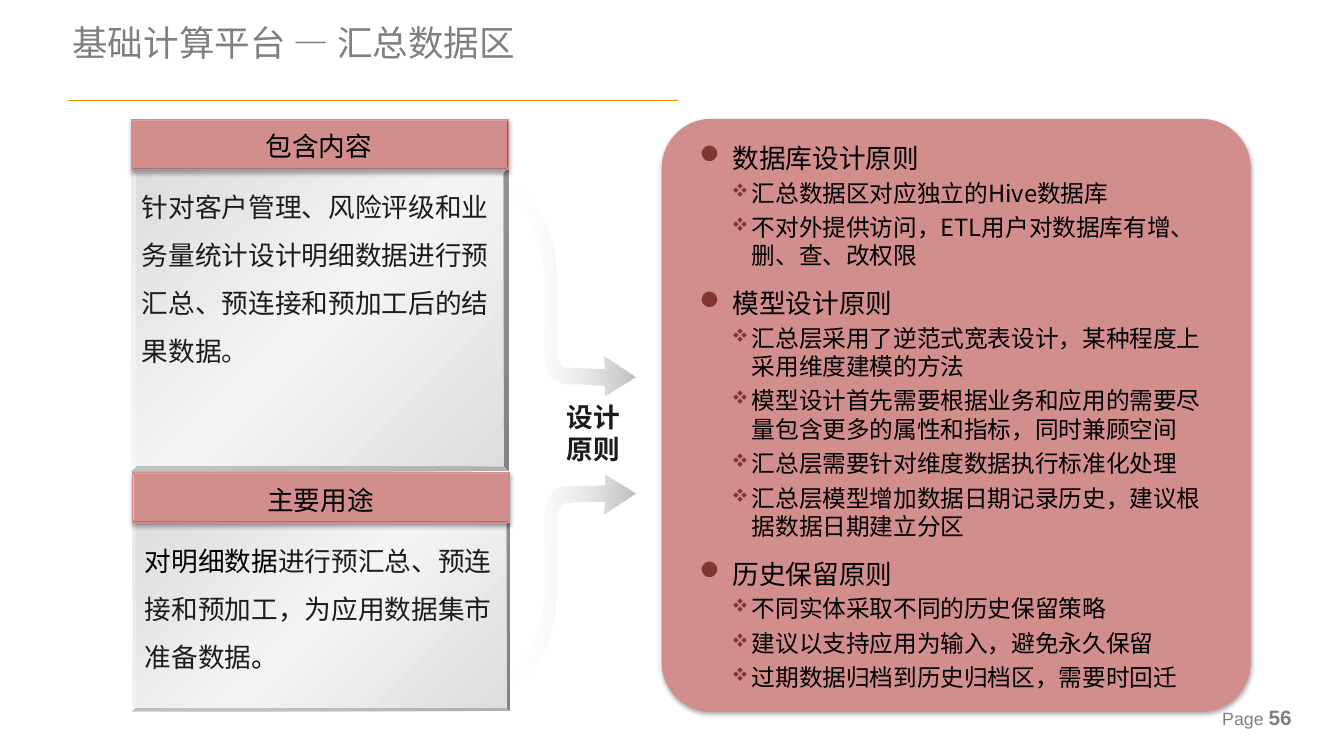
from lxml import etree
from pptx import Presentation
from pptx.dml.color import RGBColor
from pptx.enum.shapes import MSO_CONNECTOR, MSO_SHAPE
from pptx.enum.text import MSO_ANCHOR, MSO_AUTO_SIZE, PP_ALIGN
from pptx.oxml.ns import qn
from pptx.util import Inches, Pt

HEX = {"rose": "D28E8C", "wine": "823634", "gold": "EE8A04", "gray": "808080",
       "ink": "1C1C1C", "black": "000000", "edge": "DDDDDD", "glow": "F4F4F4",
       "white": "FFFFFF", "steel": "C0C0C0"}
RGB = {name: RGBColor.from_string(code) for name, code in HEX.items()}
SANS = "Noto Sans CJK SC"

deck = Presentation()
deck.slide_width, deck.slide_height = Inches(12.6), Inches(7.09)
slide = deck.slides.add_slide(deck.slide_layouts[6])
shapes = slide.shapes


def add_box(left, top, width, height, grow=True):
    frame = shapes.add_textbox(*map(Inches, (left, top, width, height))).text_frame
    frame.word_wrap = True
    frame.auto_size = MSO_AUTO_SIZE.SHAPE_TO_FIT_TEXT if grow else MSO_AUTO_SIZE.NONE
    return frame


def write(par, text, size, color, face=SANS):
    par.add_run().text = text
    font = par.font
    font.size, font.name, font.color.rgb = Pt(size), face, RGB[color]
    etree.SubElement(font._element, qn("a:ea")).set("typeface", face)


# Page number
page = add_box(11.36, 6.6, 1.25, 0.26, grow=False)
page.vertical_anchor = MSO_ANCHOR.MIDDLE
write(page.paragraphs[0], "Page ", 12, "gray", "Arial")
number = page.paragraphs[0].add_run()
number.text = "56"
number.font.size, number.font.bold = Pt(14), True

# Title and rule
title = add_box(0.58, 0.16, 8.89, 0.41, grow=False)
title.margin_top = Inches(0.04)
write(title.paragraphs[0], "基础计算平台 — 汇总数据区", 24, "gray")
rule = shapes.add_connector(MSO_CONNECTOR.STRAIGHT, Inches(0.64), Inches(0.94),
                            Inches(6.36), Inches(0.94))
rule.line.color.rgb, rule.line.width = RGB["gold"], Pt(0.75)
etree.SubElement(rule._element.spPr, qn("a:effectLst"))

# Cards, card heads and the right panel
BEVEL, ROUND = MSO_SHAPE.BEVEL, MSO_SHAPE.ROUNDED_RECTANGLE
grads = []
for kind, place, adj, rosy in [
        (BEVEL, (1.23, 1.58, 3.54, 2.84), 0.016, False),
        (BEVEL, (1.23, 1.12, 3.54, 0.47), 0.037, True),
        (BEVEL, (1.24, 4.89, 3.54, 1.78), 0.016, False),
        (BEVEL, (1.24, 4.43, 3.54, 0.47), 0.037, True),
        (ROUND, (6.21, 1.12, 5.51, 5.55), 0.083, True)]:
    block = shapes.add_shape(kind, *map(Inches, place))
    block.adjustments[0] = adj
    block.shadow.inherit = False
    if not rosy:
        block.line.fill.background()
        grads.append((block, 45, [(0, "edge", 100), (50, "glow", 100), (100, "edge", 100)]))
        continue
    block.fill.solid()
    block.fill.fore_color.rgb = block.line.color.rgb = RGB["rose"]
    block.line.width = Pt(0.75)
    effects = block._element.spPr.find(qn("a:effectLst"))
    shade = etree.SubElement(effects, qn("a:outerShdw"), blurRad=str(Pt(3.1)),
                             dist=str(Pt(1.8)), dir="5400000", rotWithShape="0")
    tint = etree.SubElement(shade, qn("a:srgbClr"), val=HEX["black"])
    etree.SubElement(tint, qn("a:alpha"), val="35000")

# Card text
for place, text in [((1.23, 1.17, 3.52, 0.4), "包含内容"),
                    ((1.24, 4.49, 3.53, 0.4), "主要用途")]:
    par = add_box(*place).paragraphs[0]
    par.alignment = PP_ALIGN.CENTER
    write(par, text, 18, "black")

content = add_box(1.23, 1.59, 3.52, 2.32).paragraphs[0]
content.line_spacing = 1.5
write(content, "针对客户管理、风险评级和业务量统计设计明细数据进行预汇总、预连接和预加工后的结果数据。",
      18, "ink")
usage = add_box(1.26, 4.91, 3.49, 1.46).paragraphs[0]
usage.line_spacing = 1.5
write(usage, "对明细数据", 18, "black")
middle = usage.add_run()
middle.text = "进行预汇总、预连接和预加工，为应用数据集市准备数据"
middle.font.color.rgb = RGB["ink"]
usage.add_run().text = "。"

# Curved arrows: six numbers are a curve, two a straight line
start = (4.78, 1.69)
steps = [(4.78, 1.69, 5.26, 1.92, 5.22, 2.74), (5.22, 3.01, 5.22, 3.28, 5.22, 3.28),
         (5.22, 3.28, 5.22, 3.45, 5.33, 3.44), (5.5, 3.45, 5.67, 3.45, 5.67, 3.45),
         (5.66, 3.33), (5.96, 3.53), (5.67, 3.71), (5.67, 3.61),
         (5.67, 3.61, 5.47, 3.6, 5.28, 3.6), (5.13, 3.58, 5.11, 3.38, 5.11, 3.38),
         (5.08, 3.22, 5.12, 2.99, 5.11, 2.61), (5.06, 1.99, 4.78, 1.88, 4.78, 1.88),
         (4.78, 1.69)]
for base, sign in [(0, 1), (8.16, -1)]:
    track = [(Inches(x), Inches(base + sign * y))
             for x, y in [start] + [step[-2:] for step in steps]]
    pen = shapes.build_freeform(*track[0])
    pen.add_line_segments(track[1:])
    arrow = pen.convert_to_shape()
    legs = list(arrow._element.spPr.iter(qn("a:lnTo")))
    for leg, step in zip(legs, steps):
        if len(step) == 2:
            continue
        curve = etree.Element(qn("a:cubicBezTo"))
        for x, y in zip(step[::2], step[1::2]):
            etree.SubElement(curve, qn("a:pt"), x=str(Inches(x) - arrow.left),
                             y=str(Inches(base + sign * y) - arrow.top))
        leg.getparent().replace(leg, curve)
    arrow.shadow.inherit = False
    arrow.line.fill.background()
    grads.append((arrow, 0, [(0, "white", 0), (100, "steel", 100)]))

# Gradient fills
for shape, angle, stops in grads:
    shape.fill.gradient()
    grad = shape._element.spPr.find(qn("a:gradFill"))
    grad.find(qn("a:lin")).set("ang", str(angle * 60000))
    listing = grad.find(qn("a:gsLst"))
    for old in list(listing):
        listing.remove(old)
    for pos, color, alpha in stops:
        stop = etree.SubElement(listing, qn("a:gs"), pos=str(pos * 1000))
        tint = etree.SubElement(stop, qn("a:srgbClr"), val=HEX[color])
        if alpha < 100:
            etree.SubElement(tint, qn("a:alpha"), val=str(alpha * 1000))

# Label between the arrows
label = add_box(5.17, 3.71, 0.79, 0.71).paragraphs[0]
label.alignment = PP_ALIGN.CENTER
write(label, "设计原则", 18, "ink")
label.font.bold = True

# Design rules
rules = {
    "数据库设计原则": ["汇总数据区对应独立的Hive数据库",
                "不对外提供访问，ETL用户对数据库有增、删、查、改权限"],
    "模型设计原则": ["汇总层采用了逆范式宽表设计，某种程度上采用维度建模的方法",
               "模型设计首先需要根据业务和应用的需要尽量包含更多的属性和指标，同时兼顾空间",
               "汇总层需要针对维度数据执行标准化处理",
               "汇总层模型增加数据日期记录历史，建议根据数据日期建立分区"],
    "历史保留原则": ["不同实体采取不同的历史保留策略",
               "建议以支持应用为输入，避免永久保留",
               "过期数据归档到历史归档区，需要时回迁"]}
rows = [(text, i > 0) for head, items in rules.items()
        for i, text in enumerate([head, *items])]
panel = add_box(6.46, 1.13, 5.12, 5.56)
panel.margin_right = Inches(0.2)
for i, (text, sub) in enumerate(rows):
    par = panel.add_paragraph() if i else panel.paragraphs[0]
    if sub:
        par.level, par.space_before, par.space_after = 1, Pt(3.2), Pt(0.8)
    else:
        par.line_spacing = 1.5
    props = par._p.get_or_add_pPr()
    props.set("marL", str(Inches(0.49 if sub else 0.31)))
    props.set("indent", str(Inches(-0.19 if sub else -0.31)))
    tint = etree.SubElement(props, qn("a:buClr"))
    etree.SubElement(tint, qn("a:srgbClr"), val=HEX["wine"])
    etree.SubElement(props, qn("a:buSzPct"), val="80000" if sub else "100000")
    etree.SubElement(props, qn("a:buFont"), typeface="Wingdings", charset="2")
    etree.SubElement(props, qn("a:buChar"), char="v" if sub else "l")
    write(par, text, 16 if sub else 18, "black")

deck.save("out.pptx")
